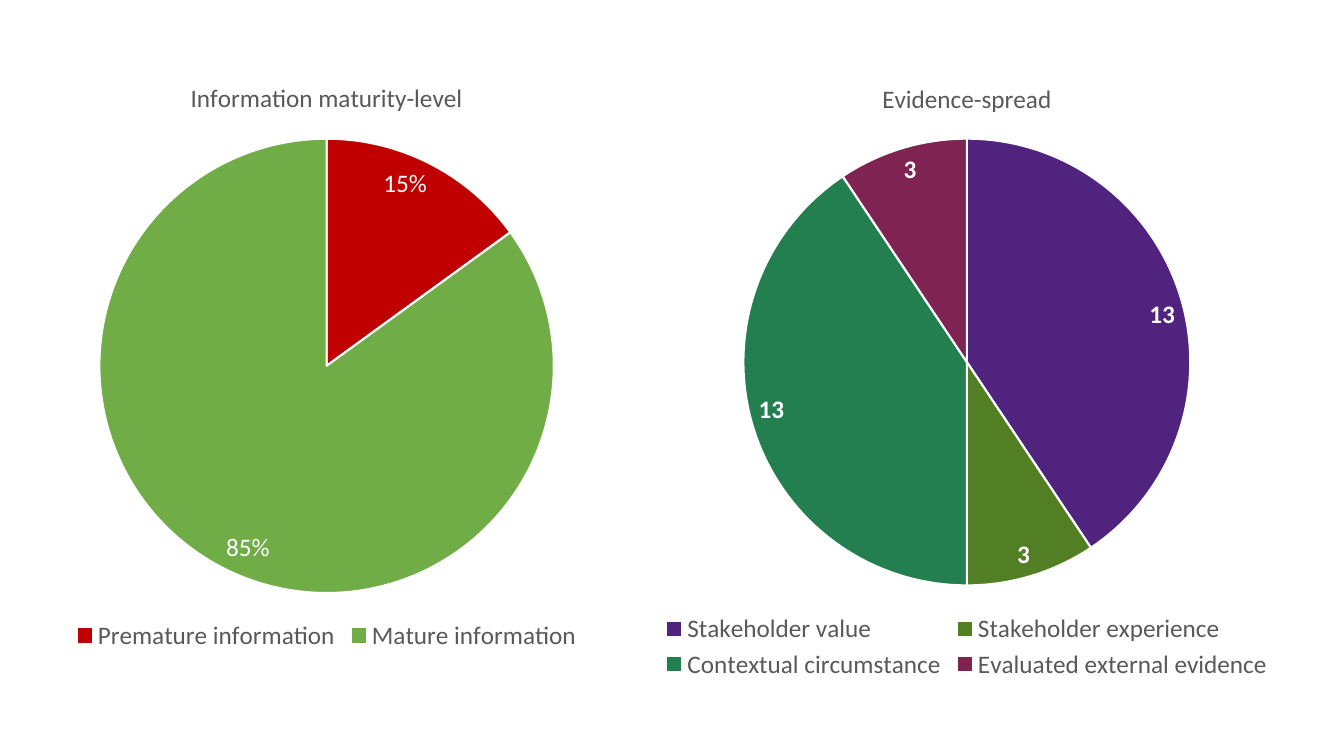
from lxml import etree
from pptx import Presentation
from pptx.chart.data import CategoryChartData
from pptx.dml.color import RGBColor
from pptx.enum.chart import XL_CHART_TYPE, XL_LABEL_POSITION, XL_LEGEND_POSITION
from pptx.oxml.ns import qn
from pptx.util import Inches, Pt

FONT = "Calibri"
TEXT_SIZE = Pt(18)
WHITE = RGBColor(0xFF, 0xFF, 0xFF)
GREY = RGBColor(0x59, 0x59, 0x59)
RED = RGBColor(0xC0, 0x00, 0x00)
LIGHT_GREEN = RGBColor(0x70, 0xAD, 0x47)
PURPLE = RGBColor(0x50, 0x23, 0x7F)
OLIVE = RGBColor(0x52, 0x7F, 0x23)
TEAL = RGBColor(0x23, 0x7F, 0x4F)
PLUM = RGBColor(0x7F, 0x23, 0x52)

prs = Presentation()
prs.slide_width, prs.slide_height = Inches(13.33), Inches(7.5)
COL, ROW = prs.slide_width / 100, prs.slide_height / 100
PIE_TOP = 10.6  # rows between the top of a chart and its pie


def style_font(font, color, bold=False):
    """Apply the shared typeface and size with the given colour and weight."""
    font.name, font.size, font.bold = FONT, TEXT_SIZE, bold
    font.color.rgb = color


def place_pie(chart, width, height, diameter):
    """Centre a pie of the given diameter (rows) across a chart of the given size."""
    side = diameter * ROW
    shares = {"x": (width - side) / 2 / width, "y": PIE_TOP * ROW / height,
              "w": side / width, "h": side / height}
    plot = chart._chartSpace.chart.plotArea
    for old in plot.findall(qn("c:layout")):
        plot.remove(old)
    layout = etree.Element(qn("c:layout"))
    plot.insert(0, layout)
    manual = etree.SubElement(layout, qn("c:manualLayout"))
    settings = [("layoutTarget", "inner"), ("xMode", "edge"), ("yMode", "edge")]
    settings += [(key, f"{share:.4f}") for key, share in shares.items()]
    for tag, value in settings:
        etree.SubElement(manual, qn(f"c:{tag}")).set("val", value)


def add_pie(slide, box, diameter, title, slices, number_format, bold):
    """Draw a titled pie in box (columns and rows); slices are (name, value, colour)."""
    left, top, columns, rows = box
    width, height = int(columns * COL), int(rows * ROW)
    data = CategoryChartData()
    data.categories = [name for name, _, _ in slices]
    data.add_series("Series 1", [value for _, value, _ in slices])
    chart = slide.shapes.add_chart(XL_CHART_TYPE.PIE, int(left * COL), int(top * ROW),
                                   width, height, data).chart
    style_font(chart.font, GREY)

    chart.has_title = True
    chart.chart_title.include_in_layout = False
    chart.chart_title.text_frame.text = title
    style_font(chart.chart_title.text_frame.paragraphs[0].runs[0].font, GREY)

    chart.has_legend = True
    chart.legend.position = XL_LEGEND_POSITION.BOTTOM
    chart.legend.include_in_layout = False
    style_font(chart.legend.font, GREY)

    plot = chart.plots[0]
    plot.vary_by_categories = True
    for index, (_, _, color) in enumerate(slices):
        look = plot.series[0].points[index].format
        look.fill.solid()
        look.fill.fore_color.rgb = color
        look.line.color.rgb = WHITE
        look.line.width = Pt(1.5)

    plot.has_data_labels = True
    labels = plot.data_labels
    labels.show_value, labels.show_percentage = True, False
    labels.position = XL_LABEL_POSITION.INSIDE_END
    labels.number_format, labels.number_format_is_linked = number_format, False
    style_font(labels.font, WHITE, bold)
    place_pie(chart, width, height, diameter)


slide = prs.slides.add_slide(prs.slide_layouts[6])
add_pie(slide, (44.94, 7.75, 54, 82.8), 59.1, "Evidence-spread",
        [("Stakeholder value", 13, PURPLE), ("Stakeholder experience", 3, OLIVE),
         ("Contextual circumstance", 13, TEAL), ("Evaluated external evidence", 3, PLUM)],
        "0", bold=True)
add_pie(slide, (0, 7.75, 48.6, 79), 60.1, "Information maturity-level",
        [("Premature information", 15, RED), ("Mature information", 85, LIGHT_GREEN)],
        '0"%"', bold=False)
prs.save("out.pptx")
